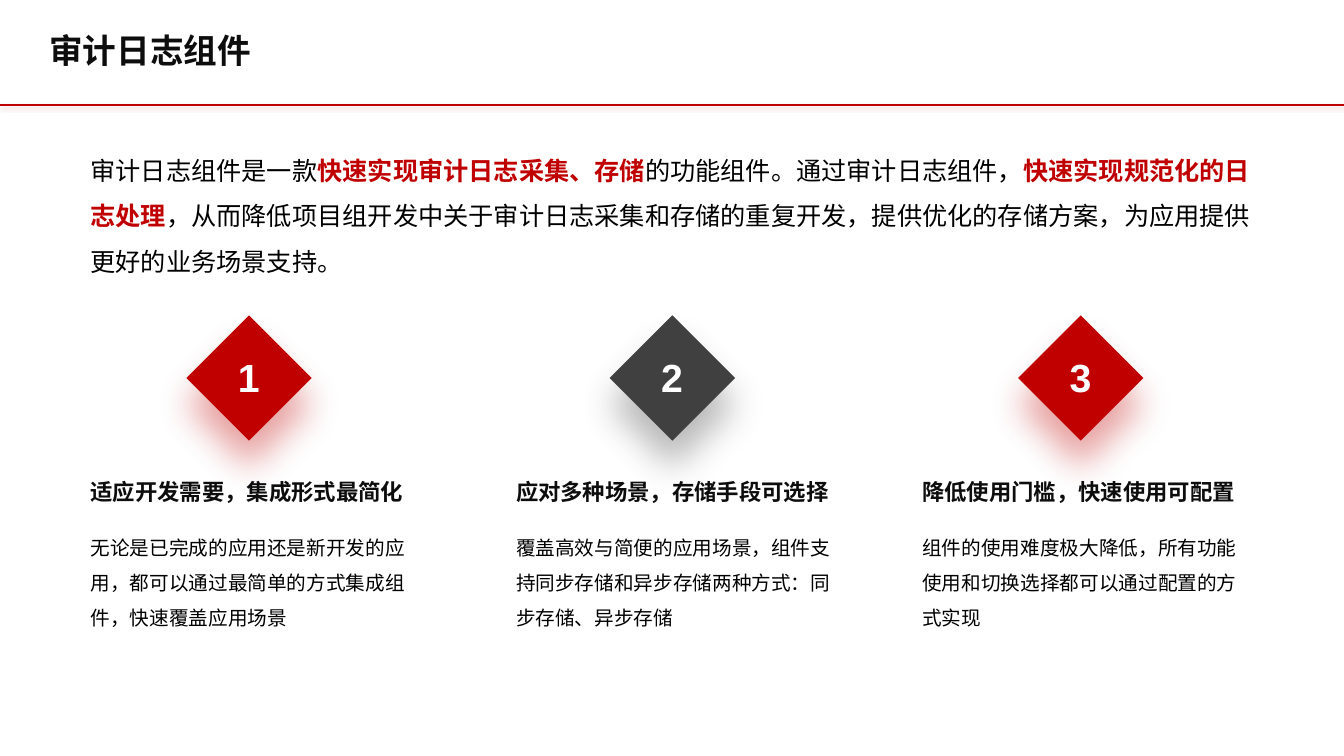
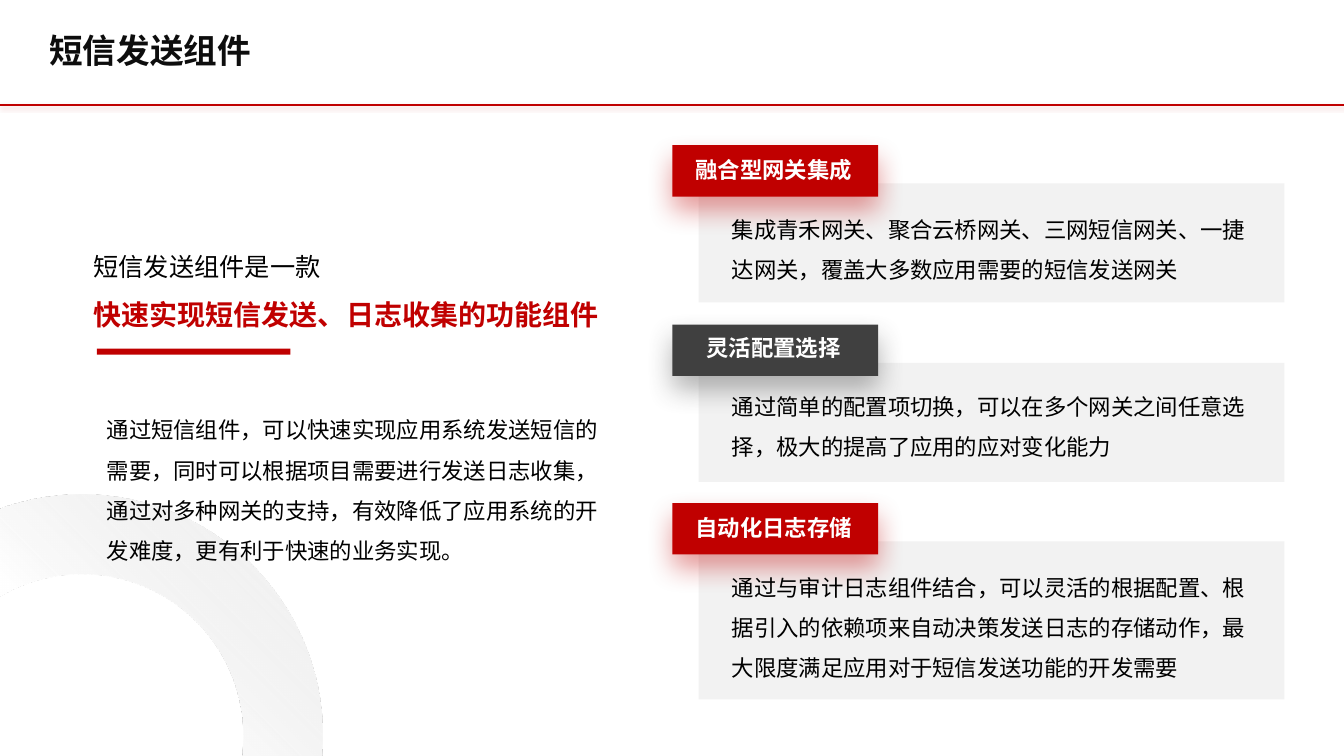
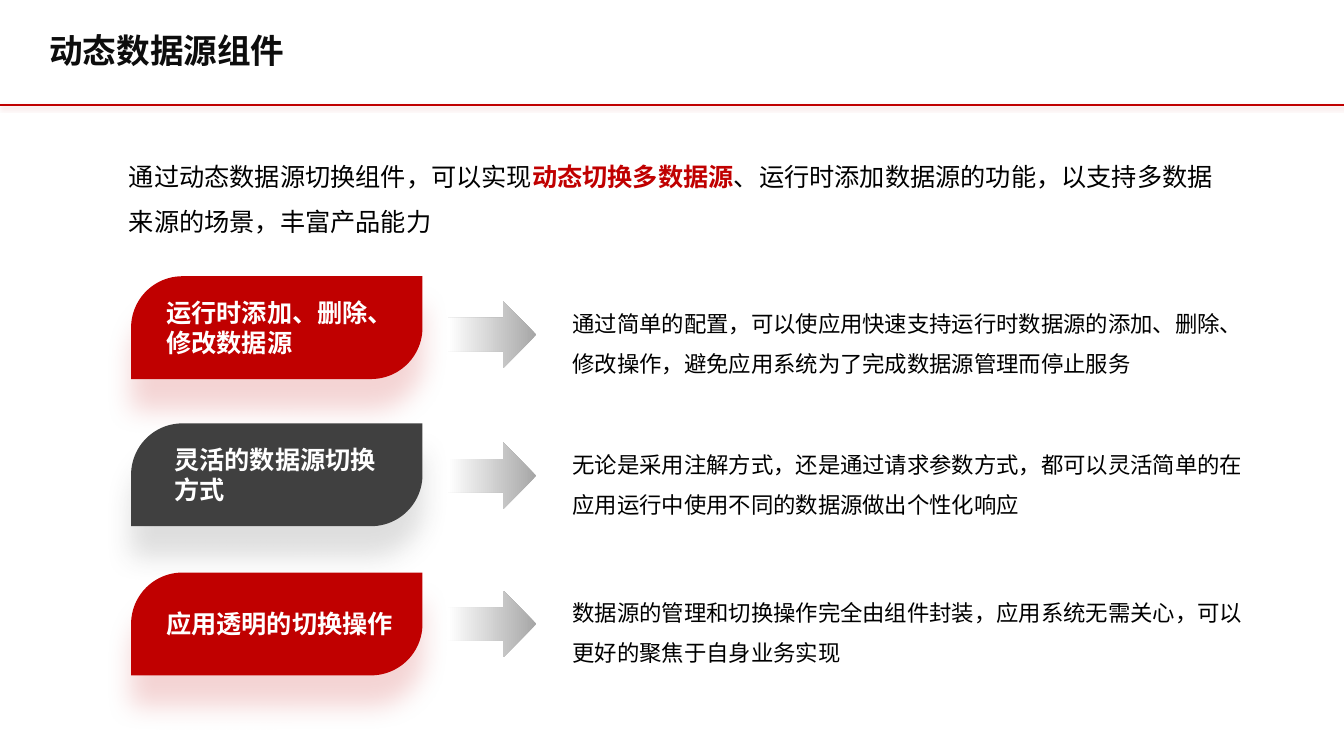
"""Build three slides on audit log, short message and data source components."""
import math
from dataclasses import dataclass

from lxml import etree
from pptx import Presentation
from pptx import util as u
from pptx.dml.color import RGBColor
from pptx.enum import shapes, text
from pptx.oxml import ns

PX = 9144
FONT = "Noto Sans CJK SC"
HUES = {"red": "C00000", "dark": "404040", "ink": "0D0D0D", "black": "000000",
        "white": "FFFFFF", "pale": "F2F2F2", "mist": "D9D9D9", "steel": "A6A6A6"}
KIND = shapes.MSO_SHAPE
Box = tuple[int, int, int, int]


@dataclass(frozen=True)
class Shade:
    alpha: int
    blur: float
    dist: float


@dataclass(frozen=True)
class Point:
    x: int
    mark: int
    hue: str
    head: str
    body: str


@dataclass(frozen=True)
class Panel:
    y: int
    high: int
    hue: str
    label: Box
    head: str
    text: Box
    body: str


@dataclass(frozen=True)
class Step:
    y: int
    hue: str
    label: Box
    head: str
    arrow: int
    body: str


RULE = Shade(20, 3.1, 1.6)
GLOW = Shade(36, 26, 19)
TAG = Shade(40, 20, 10)
LEAF = Shade(17, 19, 22)

POINTS = [
    Point(80, 203, "red", "适应开发需要，集成形式最简化",
          "无论是已完成的应用还是新开发的应用，都可以通过最简单的方式集成组件，快速覆盖应用场景"),
    Point(502, 623, "dark", "应对多种场景，存储手段可选择",
          "覆盖高效与简便的应用场景，组件支持同步存储和异步存储两种方式：同步存储、异步存储"),
    Point(905, 1028, "red", "降低使用门槛，快速使用可配置",
          "组件的使用难度极大降低，所有功能使用和切换选择都可以通过配置的方式实现"),
]
PANELS = [
    Panel(144, 118, "red", (680, 150, 177, 37), "融合型网关集成", (716, 196, 534, 86),
          "集成青禾网关、聚合云桥网关、三网短信网关、一捷达网关，覆盖大多数应用需要的短信发送网关"),
    Panel(322, 118, "dark", (691, 327, 155, 37), "灵活配置选择", (716, 372, 534, 86),
          "通过简单的配置项切换，可以在多个网关之间任意选择，极大的提高了应用的应对变化能力"),
    Panel(499, 157, "red", (680, 505, 177, 37), "自动化日志存储", (716, 551, 534, 127),
          "通过与审计日志组件结合，可以灵活的根据配置、根据引入的依赖项来自动决策发送日志的存储动作，"
          "最大限度满足应用对于短信发送功能的开发需要"),
]
STEPS = [
    Step(274, "red", (155, 290, 238, 71), "运行时添加、删除、修改数据源", 299,
         "通过简单的配置，可以使应用快速支持运行时数据源的添加、删除、修改操作，"
         "避免应用系统为了完成数据源管理而停止服务"),
    Step(420, "dark", (163, 436, 223, 71), "灵活的数据源切换方式", 439,
         "无论是采用注解方式，还是通过请求参数方式，都可以灵活简单的在应用运行中使用不同的数据源做出个性化响应"),
    Step(568, "red", (155, 599, 256, 40), "应用透明的切换操作", 586,
         "数据源的管理和切换操作完全由组件封装，应用系统无需关心，可以更好的聚焦于自身业务实现"),
]


def scale(box: Box) -> list[u.Emu]:
    return [u.Emu(n * PX) for n in box]


def tint(name: str) -> RGBColor:
    return RGBColor.from_string(HUES[name])


def write(slide, box: Box, words: str, *, size: int = 16, hue: str = "black",
          bold: bool = False, font: str = FONT, lead: float | None = None,
          wrap: bool = True, grow: bool = True, peak: int | None = None) -> None:
    """Add text; newlines part paragraphs, bars enclose red bold words."""
    frame = slide.shapes.add_textbox(*scale(box)).text_frame
    frame.word_wrap = wrap
    if grow:
        frame.auto_size = text.MSO_AUTO_SIZE.SHAPE_TO_FIT_TEXT
    else:
        frame.vertical_anchor = text.MSO_ANCHOR.MIDDLE
    for row, line in enumerate(words.split("\n")):
        para = frame.add_paragraph() if row else frame.paragraphs[0]
        if lead:
            para.line_spacing = lead
        for spot, part in enumerate(line.split("|")):
            if not part:
                continue
            hot = spot % 2 == 1
            run = para.add_run()
            run.text = part
            run.font.size = u.Pt(peak if hot and peak else size)
            run.font.bold = bold or hot
            run.font.color.rgb = tint("red" if hot else hue)
            run.font.name = font
            etree.SubElement(run.font._element, ns.qn("a:ea"), typeface=font)


def cast(effect, hue: str, shade: Shade) -> None:
    """Put a downward shadow in an effect list."""
    drop = etree.SubElement(
        effect, ns.qn("a:outerShdw"), blurRad=str(int(u.Pt(shade.blur))),
        dist=str(int(u.Pt(shade.dist))), dir="5400000", algn="t", rotWithShape="0")
    tone = etree.SubElement(drop, ns.qn("a:srgbClr"), val=HUES[hue])
    etree.SubElement(tone, ns.qn("a:alpha"), val=str(shade.alpha * 1000))


def draw(slide, kind: KIND, box: Box, hue: str, shade: Shade | None = None):
    """Add a filled shape without outline."""
    shape = slide.shapes.add_shape(kind, *scale(box))
    shape.fill.solid()
    shape.fill.fore_color.rgb = tint(hue)
    shape.line.fill.background()
    shape.shadow.inherit = False
    if shade:
        cast(next(shape.element.iter(ns.qn("a:effectLst"))), hue, shade)
    return shape


def blend(shape, hue: str, angle: int, end: int = 100, alpha: int = 100) -> None:
    """Fill with a gradient from a hue to white, angle clockwise."""
    shape.fill.gradient()
    shape.fill.gradient_angle = 360 - angle
    first, last = shape.fill.gradient_stops
    first.position, last.position = 0, end / 100
    first.color.rgb, last.color.rgb = tint(hue), tint("white")
    if alpha < 100:
        tone = next(shape.element.iter(ns.qn("a:gs")))[0]
        etree.SubElement(tone, ns.qn("a:alpha"), val=str(alpha * 1000))


def start(deck, title: str):
    """Add a slide with its title and red rule."""
    slide = deck.slides.add_slide(deck.slide_layouts[6])
    rule = slide.shapes.add_connector(shapes.MSO_CONNECTOR.STRAIGHT,
                                      *scale((0, 104, 1334, 104)))
    rule.line.color.rgb = tint("red")
    rule.line.width = u.Pt(1.5)
    effect = etree.SubElement(rule.element.spPr, ns.qn("a:effectLst"))
    cast(effect, "red", RULE)
    write(slide, (39, 28, 702, 43), title, size=24, hue="ink", bold=True, grow=False)
    return slide


def ring(slide) -> None:
    """Draw the part of a ring that shows in the lower left corner."""
    x, y, base = 81, 730, 750
    outer, inner = 239, 160
    dots = []
    for radius, back in ((outer, False), (inner, True)):
        low = math.asin((y - base) / radius)
        high = math.acos(-x / radius)
        arc = [low + (high - low) * n / 60 for n in range(61)]
        for turn in arc if back else reversed(arc):
            dots.append((round((x + radius * math.cos(turn)) * PX),
                         round((y - radius * math.sin(turn)) * PX)))
    path = slide.shapes.build_freeform(*dots[0], scale=1.0)
    path.add_line_segments(dots[1:], close=True)
    shape = path.convert_to_shape()
    blend(shape, "mist", 135, end=69, alpha=23)
    shape.line.fill.background()
    shape.shadow.inherit = False


def audit(deck) -> None:
    slide = start(deck, "审计日志组件")
    write(slide, (80, 134, 1173, 141),
          "审计日志组件是一款|快速实现审计日志采集、存储|的功能组件。通过审计日志组件，"
          "|快速实现规范化的日志处理|，从而降低项目组开发中关于审计日志采集和存储的重复开发，"
          "提供优化的存储方案，为应用提供更好的业务场景支持。", size=18, lead=1.5)
    for rank, point in enumerate(POINTS, 1):
        gem = draw(slide, KIND.RECTANGLE, (point.mark, 331, 88, 88), point.hue, GLOW)
        gem.rotation = 315
        write(slide, (point.mark + 23, 346, 42, 57), str(rank), size=28,
              hue="white", bold=True, font="Arial", wrap=False)
        write(slide, (point.x, 469, 334, 37), point.head, hue="ink", bold=True, wrap=False)
        write(slide, (point.x, 515, 334, 112), point.body, size=14, lead=1.5)


def message(deck) -> None:
    slide = start(deck, "短信发送组件")
    ring(slide)
    write(slide, (83, 229, 540, 100),
          "短信发送组件是一款\n|快速实现短信发送、日志收集的功能组件|", size=18, peak=20, lead=1.5)
    draw(slide, KIND.RECTANGLE, (96, 346, 192, 6), "red")
    write(slide, (96, 395, 528, 167),
          "通过短信组件，可以快速实现应用系统发送短信的需要，同时可以根据项目需要进行发送日志收集，"
          "通过对多种网关的支持，有效降低了应用系统的开发难度，更有利于快速的业务实现。", lead=1.5)
    for panel in PANELS:
        draw(slide, KIND.RECTANGLE, (693, panel.y + 38, 581, panel.high), "pale")
        draw(slide, KIND.RECTANGLE, (667, panel.y, 204, 51), panel.hue, TAG)
        write(slide, panel.label, panel.head, hue="white", bold=True, wrap=False)
        write(slide, panel.text, panel.body, lead=1.5)


def source(deck) -> None:
    slide = start(deck, "动态数据源组件")
    write(slide, (118, 140, 1097, 96),
          "通过动态数据源切换组件，可以实现|动态切换多数据源|、运行时添加数据源的功能，"
          "以支持多数据来源的场景，丰富产品能力", size=18, lead=1.5)
    for step in STEPS:
        leaf = draw(slide, KIND.ROUND_2_DIAG_RECTANGLE, (130, step.y, 289, 102), step.hue, LEAF)
        leaf.adjustments[0] = 0.5
        write(slide, step.label, step.head, size=18, hue="white", bold=True)
        arrow = draw(slide, KIND.RIGHT_ARROW, (444, step.arrow, 88, 66), "steel")
        blend(arrow, "steel", 180)
        write(slide, (558, step.arrow - 10, 687, 86), step.body, lead=1.5)


def main() -> None:
    deck = Presentation()
    deck.slide_width, deck.slide_height = scale((1333, 750, 0, 0))[:2]
    for make in (audit, message, source):
        make(deck)
    deck.save("out.pptx")


if __name__ == "__main__":
    main()
